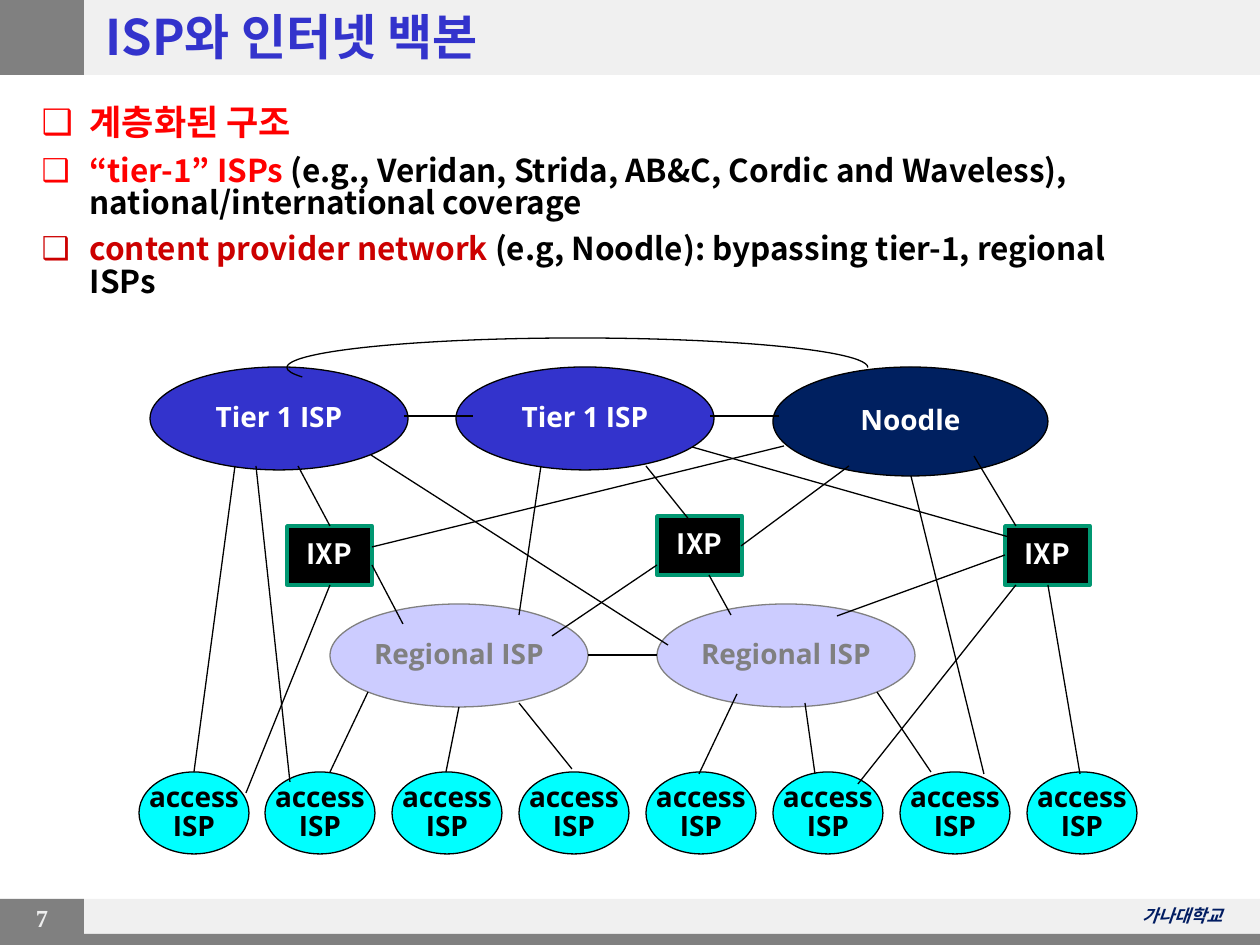
from lxml.etree import SubElement
from pptx import Presentation
from pptx.dml.color import RGBColor as RGB
from pptx.enum.shapes import MSO_CONNECTOR as CONN, MSO_SHAPE as SHAPE
from pptx.enum.text import MSO_ANCHOR as ANCHOR, MSO_AUTO_SIZE as FIT, PP_ALIGN as ALIGN
from pptx.oxml.ns import qn
from pptx.util import Pt

PX = 914400 // 126
BLACK, WHITE = RGB(0, 0, 0), RGB(255, 255, 255)
PALE, GRAY, MIST = RGB(0xF0, 0xF0, 0xF0), RGB(0x80, 0x80, 0x80), RGB(0xEE, 0xEE, 0xEE)
BLUE, NAVY, INK = RGB(0x33, 0x33, 0xCC), RGB(0, 0x20, 0x60), RGB(1, 0x1C, 0x61)
LILAC, CYAN, GREEN = RGB(0xCC, 0xCC, 0xFF), RGB(0, 255, 255), RGB(0, 0x97, 0x71)
RED, DARK = RGB(255, 0, 0), RGB(0xCC, 0, 0)
NOTO, OPEN, TIMES = "Noto Sans CJK KR", "Open Sans", "Times New Roman"

TITLE = "ISP와 인터넷 백본"
BULLETS = [
    [("계층화된 구조", 20, RED)],
    [("“tier-1” ISPs ", 18, RED),
     ("(e.g., Veridan, Strida, AB&C, Cordic and Waveless), "
      "national/international coverage", 18, BLACK)],
    [("content provider network ", 18, DARK),
     ("(e.g, Noodle): bypassing tier-1, regional ISPs", 18, BLACK)],
]
BARS = [
    ((0, 899, 1260, 46), PALE), ((0, 899, 84, 46), GRAY),
    ((0, 0, 1260, 75), PALE), ((0, 0, 84, 75), GRAY),
    ((0, 934, 1260, 11), GRAY),
]
# kind: shape, size, fill, line, line width, font, text colour
KINDS = {
    "access": (SHAPE.OVAL, (110, 82), CYAN, BLACK, 0.75, OPEN, BLACK),
    "region": (SHAPE.OVAL, (258, 103), LILAC, GRAY, 0.75, OPEN, GRAY),
    "tier": (SHAPE.OVAL, (258, 103), BLUE, BLACK, 0.75, OPEN, WHITE),
    "content": (SHAPE.OVAL, (275, 109), NAVY, BLACK, 0.75, OPEN, WHITE),
    "ixp": (SHAPE.RECTANGLE, (85, 59), BLACK, GREEN, 2, NOTO, WHITE),
}
NODES = [("access", ["access", "ISP"], 139 + 888 * i // 7, 772) for i in range(8)] + [
    ("region", ["Regional ISP"], 330, 604), ("region", ["Regional ISP"], 657, 604),
    ("ixp", ["IXP"], 287, 526), ("ixp", ["IXP"], 657, 516), ("ixp", ["IXP"], 1005, 526),
    ("tier", ["Tier 1 ISP"], 150, 367), ("tier", ["Tier 1 ISP"], 456, 367),
    ("content", ["Noodle"], 773, 367),
]
LINKS = [
    # between peers
    (473, 416, 404, 416), (779, 416, 710, 416), (657, 655, 588, 655),
    # tier 1 and content provider downwards
    (235, 466, 194, 772), (256, 466, 290, 782), (298, 466, 330, 526),
    (371, 455, 668, 645), (541, 466, 519, 615), (646, 466, 699, 532),
    (692, 447, 1009, 537), (784, 446, 372, 547), (849, 466, 741, 546),
    (911, 476, 984, 774), (974, 456, 1016, 526),
    # exchange points downwards
    (330, 585, 246, 793), (372, 565, 403, 624), (657, 565, 552, 636),
    (709, 575, 731, 615), (1005, 555, 837, 616), (1016, 585, 858, 784),
    (1048, 585, 1080, 774),
    # regional to access
    (368, 692, 330, 772), (459, 707, 446, 772), (519, 703, 572, 769),
    (737, 694, 699, 774), (805, 703, 815, 774), (877, 692, 931, 772),
]


def emu(*vals):
    """Turn pixels into EMU."""
    return [v * PX for v in vals]


def write(para, text, size, face, color, slant=None):
    """Add one bold run to a paragraph."""
    run = para.add_run()
    run.text = text
    font = run.font
    font.size, font.bold, font.italic = Pt(size), True, slant
    font.color.rgb = color
    font.name = face
    SubElement(font._element, qn("a:ea")).set("typeface", face)


def draw(kind, box, fill, line=None, width=0.75):
    """Add a flat shape."""
    shape = slide.shapes.add_shape(kind, *emu(*box))
    shape.shadow.inherit = False
    if fill is None:
        shape.fill.background()
    else:
        shape.fill.solid()
        shape.fill.fore_color.rgb = fill
    if line is None:
        shape.line.fill.background()
    else:
        shape.line.color.rgb = line
        shape.line.width = Pt(width)
    return shape


def node(kind, rows, x, y):
    """Add a labelled network node."""
    form, size, fill, line, width, face, color = KINDS[kind]
    frame = draw(form, (x, y, *size), fill, line, width).text_frame
    frame.word_wrap = False
    frame.vertical_anchor = ANCHOR.MIDDLE
    for i, row in enumerate(rows):
        para = frame.add_paragraph() if i else frame.paragraphs[0]
        para.alignment = ALIGN.CENTER
        para.line_spacing = 0.87
        write(para, row, 16, face, color)


def link(x1, y1, x2, y2):
    """Add a thin black line."""
    line = slide.shapes.add_connector(CONN.STRAIGHT, *emu(x1, y1, x2, y2))
    line.line.color.rgb = BLACK
    line.line.width = Pt(0.75)
    SubElement(line._element.spPr, qn("a:effectLst"))


def label(box, text, size, face, color, align, slant=None):
    """Add a one-line text box."""
    frame = slide.shapes.add_textbox(*emu(*box)).text_frame
    frame.word_wrap = True
    para = frame.paragraphs[0]
    para.alignment = align
    write(para, text, size, face, color, slant)


def place(holder, box, anchor):
    """Move a placeholder and return its text frame."""
    holder.left, holder.top, holder.width, holder.height = emu(*box)
    frame = holder.text_frame
    frame.word_wrap, frame.auto_size = True, FIT.NONE
    frame.vertical_anchor = anchor
    return frame


def bullet(para, parts):
    """Fill one bulleted paragraph."""
    para.space_before, para.line_spacing = Pt(8), 0.85
    props = para._p.get_or_add_pPr()
    props.set("marL", str(48 * PX))
    props.set("indent", str(-48 * PX))
    SubElement(props, qn("a:buChar")).set("char", "❑")
    for text, size, color in parts:
        write(para, text, size, NOTO, color)


deck = Presentation()
deck.slide_width, deck.slide_height = emu(1260, 945)
slide = deck.slides.add_slide(deck.slide_layouts[1])
title, body = slide.placeholders

for box, fill in BARS:
    draw(SHAPE.RECTANGLE, box, fill)
# keep the header text in front of the bars
slide.shapes._spTree.extend([title._element, body._element])
label((5, 897, 74, 42), "7", 14, TIMES, MIST, ALIGN.CENTER)
label((1027, 899, 208, 34), "가나대학교", 10, NOTO, INK, ALIGN.RIGHT, True)

head = place(title, (93, 0, 1115, 72), ANCHOR.MIDDLE).paragraphs[0]
head.alignment = ALIGN.LEFT
write(head, TITLE, 28, NOTO, BLUE)
frame = place(body, (29, 101, 1154, 175), ANCHOR.TOP)
for i, parts in enumerate(BULLETS):
    bullet(frame.add_paragraph() if i else frame.paragraphs[0], parts)

for item in NODES:
    node(*item)
for ends in LINKS:
    link(*ends)
arc = draw(SHAPE.ARC, (287, 338, 581, 59), None, BLACK)
arc.adjustments[0], arc.adjustments[1] = 106.82, 0

deck.save("out.pptx")
